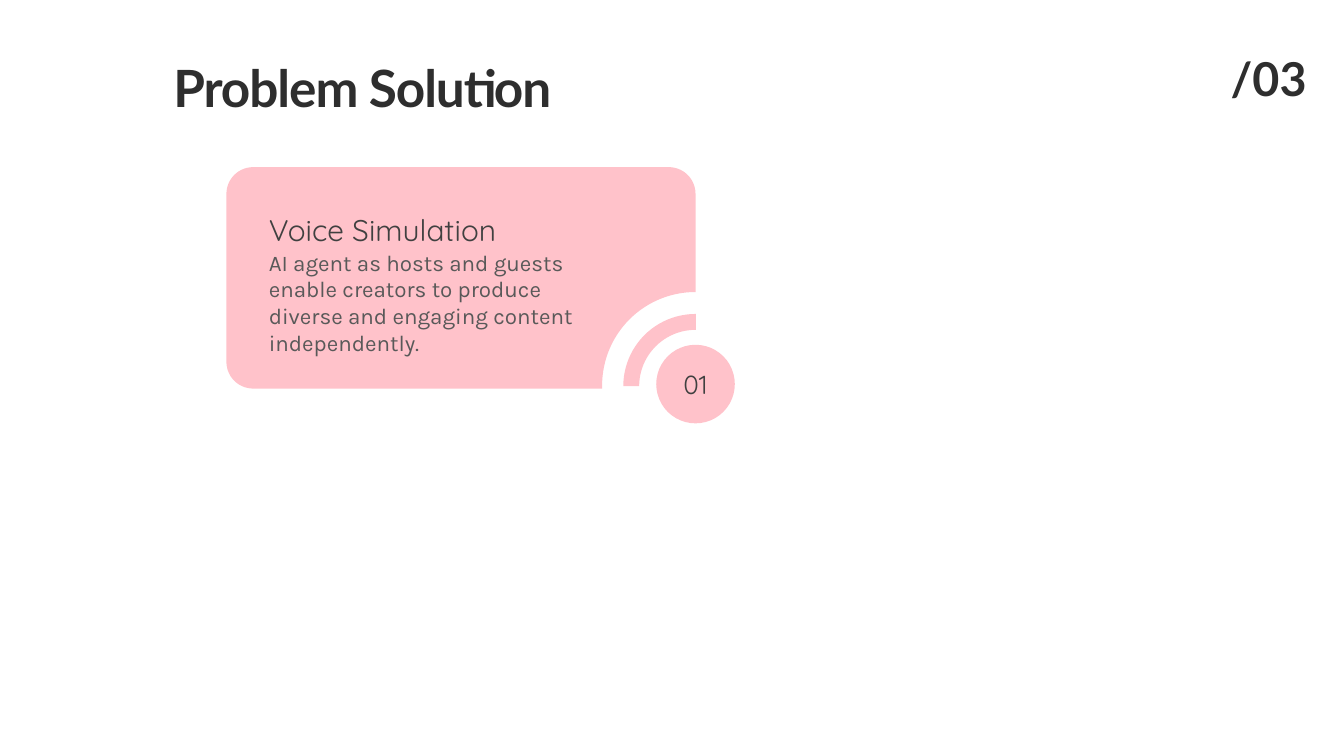
from dataclasses import dataclass
from math import cos, radians, sin

from pptx import Presentation
from pptx.dml.color import RGBColor
from pptx.enum.shapes import MSO_SHAPE
from pptx.enum.text import MSO_ANCHOR, MSO_AUTO_SIZE, PP_ALIGN
from pptx.util import Cm, Pt


@dataclass(frozen=True)
class Theme:
    ink: RGBColor = RGBColor(0x2E, 0x2E, 0x2E)
    heading: RGBColor = RGBColor(0x40, 0x40, 0x40)
    body: RGBColor = RGBColor(0x59, 0x59, 0x59)
    pink: RGBColor = RGBColor(0xFF, 0xC2, 0xCA)
    title_size: int = 55
    page_size: int = 50
    heading_size: int = 32
    number_size: int = 28
    body_size: int = 24


theme = Theme()


def write_text(holder, text, font, size, color, bold=False, align=PP_ALIGN.LEFT,
               line_pt=None, tracking=None, anchor=MSO_ANCHOR.TOP):
    frame = holder.text_frame
    frame.word_wrap = True
    frame.auto_size = MSO_AUTO_SIZE.NONE
    frame.vertical_anchor = anchor
    frame.margin_left = frame.margin_right = frame.margin_top = frame.margin_bottom = 0
    paragraph = frame.paragraphs[0]
    paragraph.alignment = align
    paragraph.space_before = Pt(0)
    paragraph.line_spacing = Pt(line_pt) if line_pt else 1.0
    run = paragraph.add_run()
    run.text = text
    run.font.name = font
    run.font.size = Pt(size)
    run.font.bold = bold
    run.font.color.rgb = color
    if tracking is not None:
        run.font._element.set("spc", str(round(tracking * 100)))


def arc_points(center_x, center_y, radius, start, end, steps=30):
    """Points in cm from start to end degrees, clockwise from the right."""
    angles = [radians(start + (end - start) * i / steps) for i in range(steps + 1)]
    return [(center_x + radius * cos(a), center_y + radius * sin(a)) for a in angles]


prs = Presentation()
prs.slide_width, prs.slide_height = Cm(50.8), Cm(28.58)
slide = prs.slides.add_slide(prs.slide_layouts[5])
shapes = slide.shapes

# Heading and page number
title = shapes.title
title.left, title.top, title.width, title.height = Cm(6.55), Cm(1.73), Cm(14.81), Cm(2.46)
write_text(title, "Problem Solution", "Lato", theme.title_size, theme.ink,
           bold=True, line_pt=77, tracking=-1.1)

page_number = shapes.add_textbox(Cm(45.67), Cm(1.52), Cm(4.57), Cm(2.26))
write_text(page_number, "/03", "Lato", theme.page_size, theme.ink,
           bold=True, align=PP_ALIGN.CENTER, line_pt=70)

# Card with rounded corners and a quarter-circle notch around the number
left, top, right, bottom = 8.56, 6.32, 26.29, 14.69
corner, notch, badge_y = 1.01, 3.53, 14.57
outline = (
    arc_points(left + corner, top + corner, corner, 180, 270)
    + arc_points(right - corner, top + corner, corner, 270, 360)
    + arc_points(right, badge_y, notch, 270, 180)
    + [(right - notch, bottom)]
    + arc_points(left + corner, bottom - corner, corner, 90, 180)
)
points = [(Cm(x), Cm(y)) for x, y in outline]
builder = shapes.build_freeform(*points[0])
builder.add_line_segments(points[1:], close=True)
card = builder.convert_to_shape()

# Ring and number badge share the notch's centre
ring_size, badge_size = 5.46, 2.97
ring = shapes.add_shape(MSO_SHAPE.BLOCK_ARC, Cm(right - ring_size / 2),
                        Cm(badge_y + 0.03 - ring_size / 2), Cm(ring_size), Cm(ring_size))
for index, value in enumerate((108, 162.22, 0.11)):
    ring.adjustments[index] = value
badge = shapes.add_shape(MSO_SHAPE.OVAL, Cm(right - badge_size / 2),
                         Cm(badge_y - 0.05 - badge_size / 2), Cm(badge_size), Cm(badge_size))

for part in (card, ring, badge):
    part.shadow.inherit = False
    part.fill.solid()
    part.fill.fore_color.rgb = theme.pink
    part.line.fill.background()

write_text(badge, "01", "Quicksand", theme.number_size, theme.heading,
           align=PP_ALIGN.CENTER, anchor=MSO_ANCHOR.MIDDLE)

# Card text
card_heading = shapes.add_textbox(Cm(10.16), Cm(7.37), Cm(16.2), Cm(1.75))
write_text(card_heading, "Voice Simulation", "Quicksand", theme.heading_size,
           theme.heading, line_pt=56)

description = shapes.add_textbox(Cm(10.16), Cm(9.4), Cm(13.08), Cm(4.1))
write_text(description,
           "AI agent as hosts and guests enable creators to produce diverse "
           "and engaging content independently.",
           "Karla", theme.body_size, theme.body)

prs.save("out.pptx")
